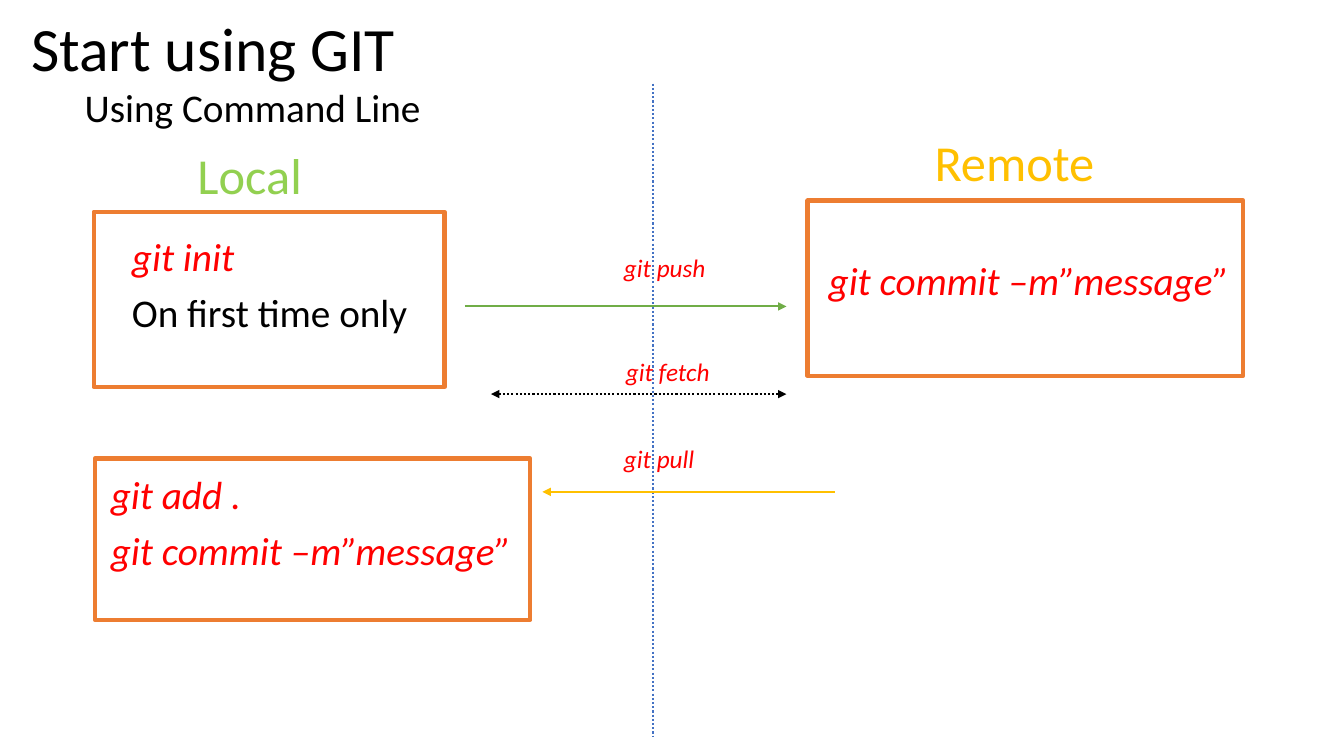
from lxml.etree import SubElement
from pptx import Presentation
from pptx.dml.color import RGBColor
from pptx.enum.dml import MSO_LINE
from pptx.enum.shapes import MSO_CONNECTOR, MSO_SHAPE
from pptx.enum.text import MSO_ANCHOR, MSO_AUTO_SIZE, PP_ALIGN
from pptx.oxml.ns import qn
from pptx.util import Inches, Pt

# Content
FONT = "Calibri"
BLACK, RED, ORANGE, GOLD = "000000", "FF0000", "ED7D31", "FFC000"
BLUE, GREEN, LIME = "4472C4", "70AD47", "92D050"
COMMIT = "git commit –m”message”"

TITLE = ("Start using GIT", (0.21, 0.12, 11.5, 0.78))
SUB = ("Using Command Line", (0.74, 0.83, 3.77, 0.68))

BOXES = [(0.93, 2.1, 3.48, 1.74), (0.94, 4.55, 4.32, 1.6), (8.01, 1.99, 4.32, 1.74)]

# place, size, lines of (text, colour, italic)
NOTES = [
    ((1.86, 1.45, 2.01, 0.71), 36, [("Local", LIME, False)]),
    ((9.17, 1.32, 2.01, 0.71), 36, [("Remote", GOLD, False)]),
    ((1.21, 2.31, 3.78, 1.6), 28,
     [("git init", RED, True), ("On first time only", BLACK, False)]),
    ((1, 4.67, 4.38, 1.36), 28, [("git add .", RED, True), (COMMIT, RED, True)]),
    ((8.12, 2.55, 4.38, 1.36), 28, [(COMMIT, RED, True)]),
]

LABELS = [
    ("git push", (6.09, 2.45, 1.05, 0.4)),
    ("git fetch", (6.11, 3.49, 1.04, 0.4)),
    ("git pull", (6.09, 4.35, 0.91, 0.4)),
]

# start, end, colour, dotted, arrowheads
LINES = [
    ((6.48, 0.83), (6.48, 7.3), BLUE, True, ()),
    ((4.61, 3.04), (7.8, 3.04), GREEN, False, ("tailEnd",)),
    ((4.87, 3.91), (7.8, 3.91), BLACK, True, ("headEnd", "tailEnd")),
    ((8.28, 4.88), (5.38, 4.88), GOLD, False, ("tailEnd",)),
]


def paint(hue):
    return RGBColor.from_string(hue)


def inch(nums):
    return [Inches(n) for n in nums]


def write(frame, lines, size, ratio=0.9, gap=10):
    for i, (text, hue, slant) in enumerate(lines):
        para = frame.add_paragraph() if i else frame.paragraphs[0]
        para.alignment = PP_ALIGN.LEFT
        para.line_spacing = ratio
        para.space_before = Pt(gap)
        run = para.add_run()
        run.text = text
        font = run.font
        font.name, font.size, font.italic = FONT, Pt(size), slant
        font.color.rgb = paint(hue)


def place(holder, spot, anchor):
    holder.left, holder.top, holder.width, holder.height = inch(spot)
    frame = holder.text_frame
    frame.auto_size = MSO_AUTO_SIZE.NONE
    frame.vertical_anchor = anchor
    return frame


def main():
    deck = Presentation()
    deck.slide_width, deck.slide_height = Inches(13.33), Inches(7.5)
    slide = deck.slides.add_slide(deck.slide_layouts[1])
    shapes = slide.shapes

    # Title and subtitle
    text, spot = TITLE
    frame = place(shapes.title, spot, MSO_ANCHOR.MIDDLE)
    write(frame, [(text, BLACK, False)], 44, gap=0)
    text, spot = SUB
    frame = place(slide.placeholders[1], spot, MSO_ANCHOR.TOP)
    write(frame, [(text, BLACK, False)], 28)
    props = frame.paragraphs[0]._p.get_or_add_pPr()
    props.set("marL", "0")
    props.set("indent", "0")
    SubElement(props, qn("a:buNone"))

    # Command boxes
    for spot in BOXES:
        box = shapes.add_shape(MSO_SHAPE.RECTANGLE, *inch(spot))
        box.shadow.inherit = False
        box.fill.background()
        box.line.color.rgb = paint(ORANGE)
        box.line.width = Pt(3)

    # Headings and commands
    for spot, size, lines in NOTES:
        frame = shapes.add_textbox(*inch(spot)).text_frame
        frame.word_wrap = True
        write(frame, lines, size)

    # Divider and arrows
    for start, end, hue, dotted, heads in LINES:
        link = shapes.add_connector(MSO_CONNECTOR.STRAIGHT, *inch(start + end))
        link.line.color.rgb = paint(hue)
        link.line.width = Pt(1.5)
        if dotted:
            link.line.dash_style = MSO_LINE.ROUND_DOT
        for head in heads:
            SubElement(link.line._get_or_add_ln(), qn("a:" + head), type="triangle")
        SubElement(link._element.spPr, qn("a:effectLst"))

    # Arrow labels
    for text, spot in LABELS:
        frame = shapes.add_textbox(*inch(spot)).text_frame
        frame.word_wrap = False
        frame.auto_size = MSO_AUTO_SIZE.SHAPE_TO_FIT_TEXT
        write(frame, [(text, RED, True)], 18, ratio=1.0, gap=0)

    deck.save("out.pptx")


if __name__ == "__main__":
    main()
